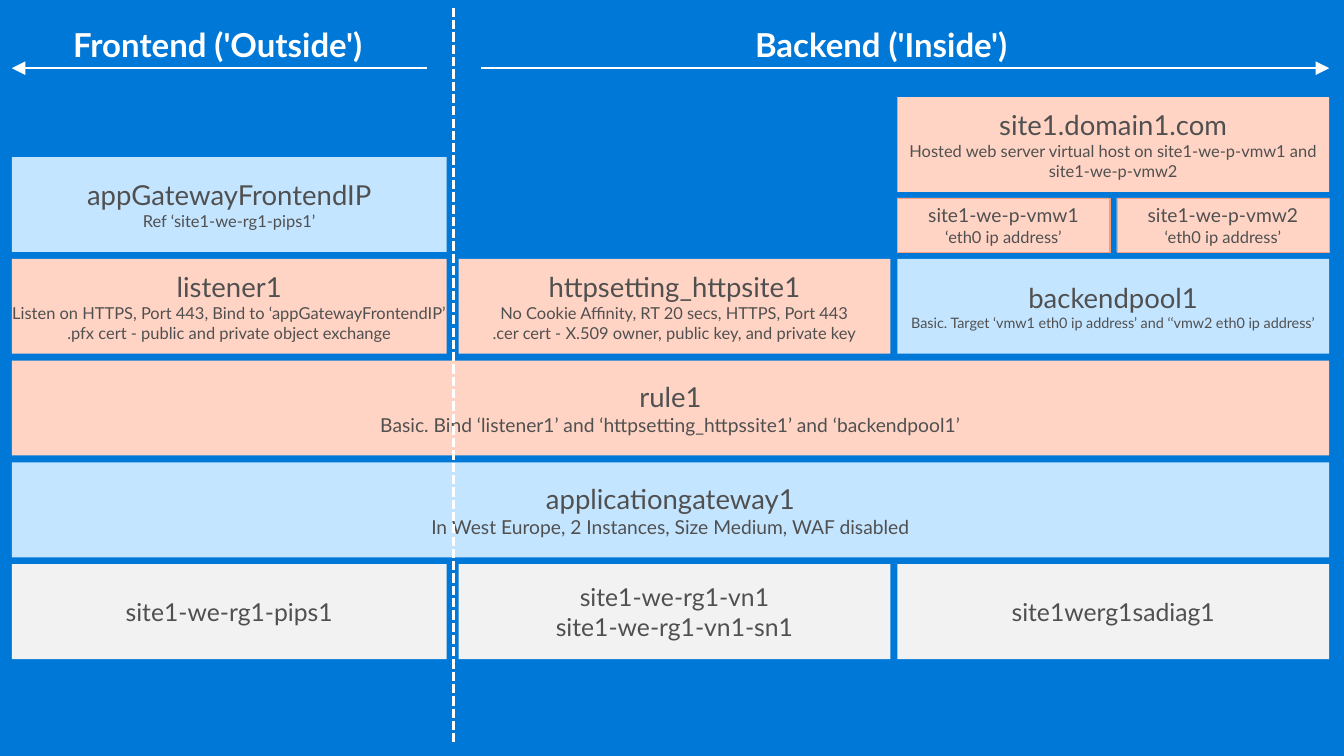
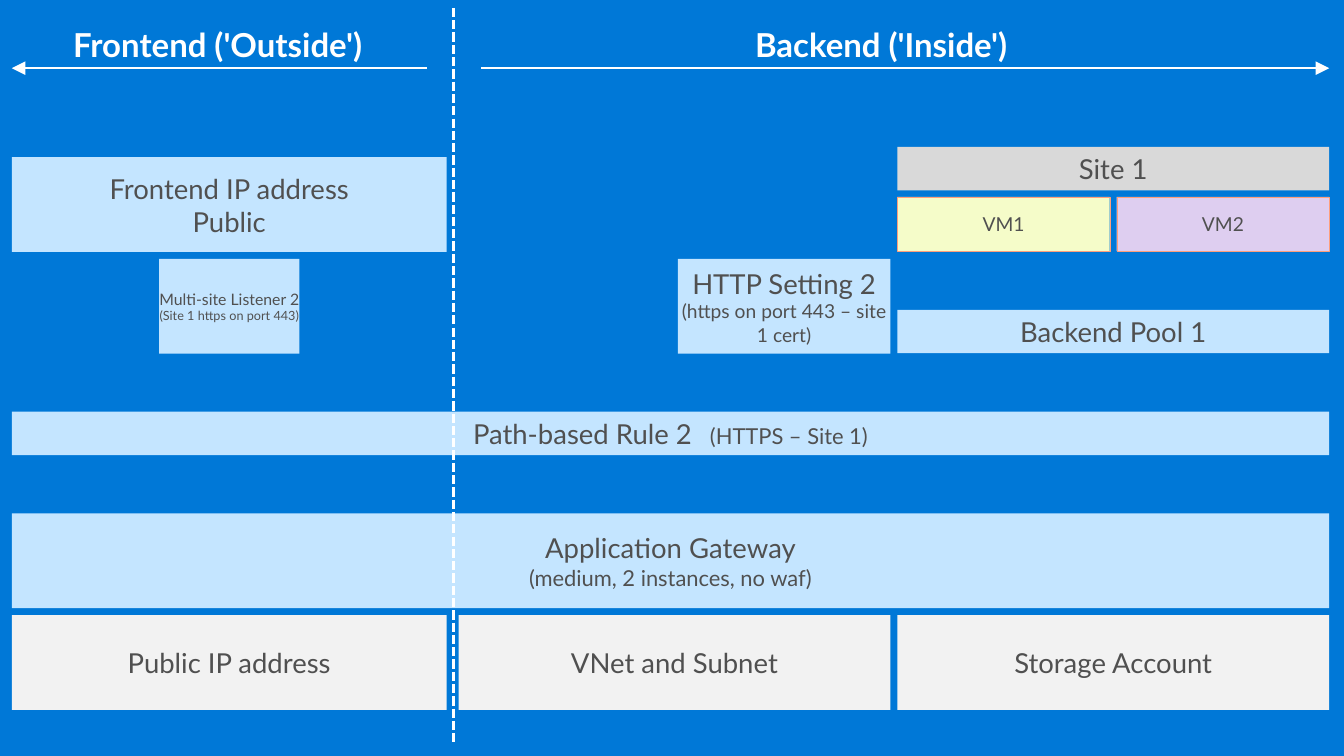
"""Build two slides that map an application gateway from frontend to backend."""
import pptx
import pptx.dml.color
import pptx.enum.dml
import pptx.enum.shapes
import pptx.enum.text
import pptx.oxml
import pptx.oxml.ns
import pptx.util

WIDTH, HEIGHT = 13.6, 7.65
LEFT, RIGHT = 0.12, 13.45
FRONTEND_WIDTH = 4.4
GAP = 0.07
HALF_COLUMN = 2.15
TOP, ROW = 1.59, 1.03
FULL = ROW - GAP
HALF = 0.44
MACHINE = 0.55
HEADER_LINE = 0.69
DIVIDER = 4.59
FONT = "Lato"
BLUE, WHITE, GREY_TEXT = "0078D7", "FFFFFF", "505050"
SKY, PEACH, LIGHT, SILVER = "C4E5FF", "FFD4C5", "F2F2F2", "D9D9D9"
LIME, LILAC, ORANGE = "F5FCC9", "DECEF0", "FE9F7C"


def inches(*lengths):
    return [pptx.util.Inches(length) for length in lengths]


def paint(color_format, value):
    color_format.rgb = pptx.dml.color.RGBColor.from_string(value)


def span(first, count=1):
    """Return left and width of columns; 0 is the frontend, 1 to 4 are backend halves."""
    def column_left(column):
        return RIGHT - HALF_COLUMN - (4 - column) * (HALF_COLUMN + GAP)

    left = column_left(first) if first else LEFT
    last = first + count - 1
    right = column_left(last) + HALF_COLUMN if last else LEFT + FRONTEND_WIDTH
    return left, right - left


def write_text(frame, lines, color=GREY_TEXT, bold=False, align=None,
               line_spacing=None, space_after=None):
    """Write lines, each a list of runs given as text, size and optional letter spacing."""
    for index, runs in enumerate(lines):
        paragraph = frame.add_paragraph() if index else frame.paragraphs[0]
        paragraph.alignment = align
        paragraph.line_spacing = line_spacing
        paragraph.space_after = space_after
        for text, size, *letter_spacing in runs:
            run = paragraph.add_run()
            run.text = text
            run.font.name = FONT
            run.font.size = pptx.util.Pt(size)
            run.font.bold = bold
            paint(run.font.color, color)
            if letter_spacing:
                run.font._element.set("spc", str(letter_spacing[0] * 100))


def set_insets(frame, horizontal, vertical):
    frame.margin_left = frame.margin_right = pptx.util.Inches(horizontal)
    frame.margin_top = frame.margin_bottom = pptx.util.Inches(vertical)


def add_box(slide, place, row, fill, *lines, height=FULL, outline=None):
    """Add a filled box at a grid place, with centred lines of text."""
    left, width = place
    shape = slide.shapes.add_shape(pptx.enum.shapes.MSO_SHAPE.RECTANGLE,
                                   *inches(left, TOP + row * ROW, width, height))
    shape.shadow.inherit = False
    shape.fill.solid()
    paint(shape.fill.fore_color, fill)
    if outline:
        paint(shape.line.color, outline)
        shape.line.width = pptx.util.Pt(0.25)
    else:
        shape.line.fill.background()
    frame = shape.text_frame
    frame.word_wrap = True
    frame.vertical_anchor = pptx.enum.text.MSO_ANCHOR.MIDDLE
    set_insets(frame, 0, 0.05)
    runs = [line if isinstance(line, list) else [line] for line in lines]
    write_text(frame, runs, align=pptx.enum.text.PP_ALIGN.CENTER)


def add_line(slide, start, end, width, arrow=False, dash=None):
    """Add a white line, with an arrowhead or a dash if asked."""
    connector = slide.shapes.add_connector(pptx.enum.shapes.MSO_CONNECTOR.STRAIGHT,
                                           *inches(*start, *end))
    paint(connector.line.color, WHITE)
    connector.line.width = pptx.util.Pt(width)
    if dash:
        connector.line.dash_style = dash
    if arrow:
        tail = pptx.oxml.parse_xml(
            f'<a:tailEnd {pptx.oxml.ns.nsdecls("a")} type="triangle" w="lg" len="lg"/>')
        connector.line._get_or_add_ln().append(tail)
    effects = pptx.oxml.parse_xml(f'<a:effectLst {pptx.oxml.ns.nsdecls("a")}/>')
    connector._element.spPr.append(effects)


def add_heading(slide, text, left, width):
    """Add the heading of one side."""
    frame = slide.shapes.add_textbox(*inches(left, 0.13, width, 0.69)).text_frame
    frame.word_wrap = False
    frame.auto_size = pptx.enum.text.MSO_AUTO_SIZE.SHAPE_TO_FIT_TEXT
    set_insets(frame, 0.2, 0.16)
    write_text(frame, [[(text, 24)]], color=WHITE, bold=True,
               line_spacing=0.9, space_after=pptx.util.Pt(6))


def add_sides(slide):
    """Add the headings and arrows of both sides."""
    add_heading(slide, "Frontend ('Outside')", 0.54, 3.61)
    add_heading(slide, "Backend ('Inside')", 7.44, 3.22)
    for start, end in ((4.87, RIGHT), (4.32, LEFT)):
        add_line(slide, (start, HEADER_LINE), (end, HEADER_LINE), 1.5, arrow=True)


def add_divider(slide):
    add_line(slide, (DIVIDER, 0.08), (DIVIDER, 7.51), 2.25,
             dash=pptx.enum.dml.MSO_LINE.SQUARE_DOT)


def add_named_objects(slide):
    """Fill the slide that shows the gateway by object names."""
    frontend, settings, pool, everything = span(0), span(1, 2), span(3, 2), span(0, 5)
    add_box(slide, frontend, 4, LIGHT, ("site1-we-rg1-pips1", 18))
    add_box(slide, settings, 4, LIGHT,
            ("site1-we-rg1-vn1", 18), ("site1-we-rg1-vn1-sn1", 18))
    add_box(slide, pool, 4, LIGHT, ("site1werg1sadiag1", 18))
    add_box(slide, everything, 3, SKY, ("applicationgateway1", 20),
            ("In West Europe, 2 Instances, Size Medium, WAF disabled", 14))
    add_box(slide, everything, 2, PEACH, ("rule1", 20),
            ("Basic. Bind ‘listener1’ and ‘httpsetting_httpssite1’ and ‘backendpool1’", 14))
    add_box(slide, frontend, 1, PEACH, ("listener1", 20),
            ("Listen on HTTPS, Port 443, Bind to ‘appGatewayFrontendIP’", 12),
            (".pfx cert - public and private object exchange", 12))
    add_box(slide, settings, 1, PEACH, ("httpsetting_httpsite1", 20),
            ("No Cookie Affinity, RT 20 secs, HTTPS, Port 443", 12),
            (".cer cert - X.509 owner, public key, and private key", 12))
    add_box(slide, pool, 1, SKY, ("backendpool1", 20),
            ("Basic. Target ‘vmw1 eth0 ip address’ and ‘‘vmw2 eth0 ip address’", 10.5))
    add_box(slide, frontend, 0, SKY, ("appGatewayFrontendIP", 20),
            ("Ref ‘site1-we-rg1-pips1’", 12))
    add_box(slide, pool, -0.59, PEACH, ("site1.domain1.com", 20),
            ("Hosted web server virtual host on site1-we-p-vmw1 and site1-we-p-vmw2", 12))
    for column, name in ((3, "site1-we-p-vmw1"), (4, "site1-we-p-vmw2")):
        add_box(slide, span(column), 0.4, PEACH, (name, 14), ("‘eth0 ip address’", 12),
                height=MACHINE, outline=ORANGE)


def add_plain_parts(slide):
    """Fill the slide that shows the gateway by kinds of part."""
    frontend, settings, pool, everything = span(0), span(1, 2), span(3, 2), span(0, 5)
    listener_width = 1.42
    listener = LEFT + (FRONTEND_WIDTH - listener_width) / 2, listener_width
    add_box(slide, frontend, 0, SKY, ("Frontend IP address", 20), ("Public", 20))
    add_box(slide, listener, 1, SKY, ("Multi-site Listener 2", 11.5),
            ("(Site 1 https on port 443)", 9.2))
    add_box(slide, span(2), 1, SKY, ("HTTP Setting 2", 20),
            ("(https on port 443 – site 1 cert)", 14))
    add_box(slide, pool, 1.5, SKY, ("Backend Pool 1", 20), height=HALF)
    add_box(slide, everything, 2.5, SKY,
            [("Path-based Rule 2", 20), (" ", 16, 9), ("(HTTPS – Site 1)", 16)],
            height=HALF)
    add_box(slide, everything, 3.5, SKY, ("Application Gateway", 20),
            ("(medium, 2 instances, no waf)", 16))
    for place, name in ((frontend, "Public IP address"), (settings, "VNet and Subnet"),
                        (pool, "Storage Account")):
        add_box(slide, place, 4.5, LIGHT, (name, 20))
    add_box(slide, pool, -0.1, SILVER, ("Site 1", 20), height=HALF)
    for column, name, fill in ((3, "VM1", LIME), (4, "VM2", LILAC)):
        add_box(slide, span(column), 0.39, fill, (name, 14),
                height=MACHINE, outline=ORANGE)


def main():
    """Build and save the presentation."""
    presentation = pptx.Presentation()
    presentation.slide_width, presentation.slide_height = inches(WIDTH, HEIGHT)
    background = presentation.slide_master.background.fill
    background.solid()
    paint(background.fore_color, BLUE)
    for add_content in (add_named_objects, add_plain_parts):
        slide = presentation.slides.add_slide(presentation.slide_layouts[6])
        add_sides(slide)
        add_content(slide)
        add_divider(slide)
    presentation.save("out.pptx")


main()
